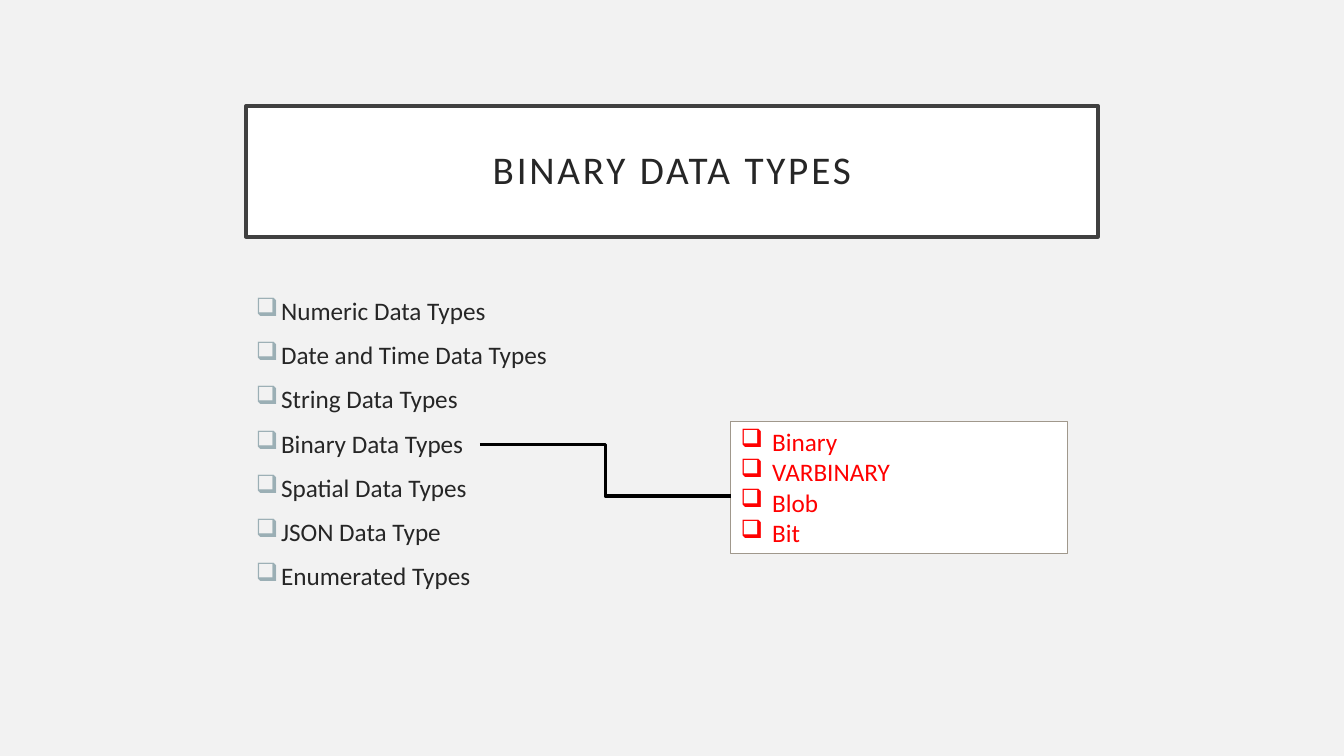
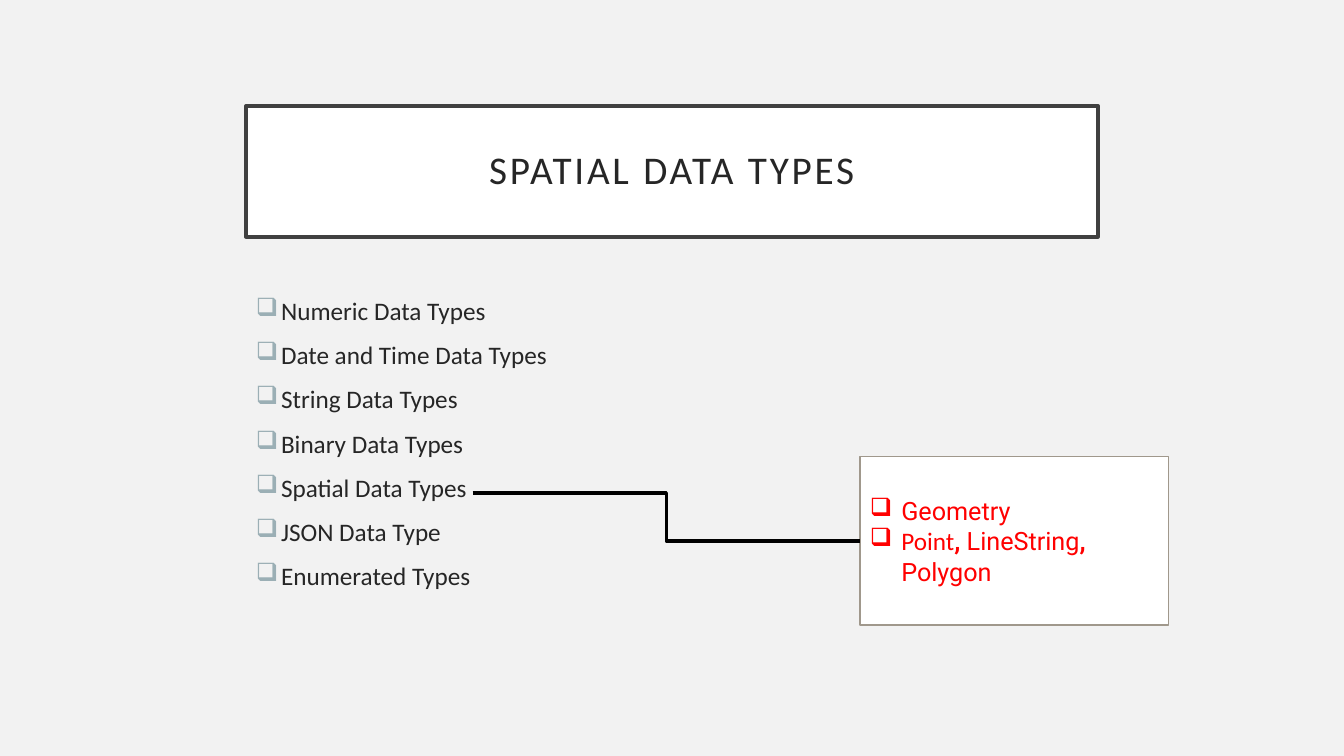
from dataclasses import dataclass

from lxml.etree import SubElement
from pptx import Presentation
from pptx.dml.color import RGBColor
from pptx.enum.shapes import MSO_CONNECTOR, MSO_SHAPE
from pptx.enum.text import MSO_ANCHOR, PP_ALIGN
from pptx.oxml.ns import qn
from pptx.util import Pt


@dataclass(frozen=True)
class Theme:
    background: RGBColor = RGBColor(0xF2, 0xF2, 0xF2)
    panel: RGBColor = RGBColor(0xFF, 0xFF, 0xFF)
    title_border: RGBColor = RGBColor(0x40, 0x40, 0x40)
    callout_border: RGBColor = RGBColor(0xA0, 0x98, 0x8C)
    text: RGBColor = RGBColor(0x26, 0x26, 0x26)
    bullet: RGBColor = RGBColor(0x9B, 0xAF, 0xB5)
    accent: RGBColor = RGBColor(0xFF, 0x00, 0x00)
    connector: RGBColor = RGBColor(0x00, 0x00, 0x00)
    font: str = "Calibri"
    callout_font: str = "Roboto"
    title_size: int = 28
    body_size: int = 18


theme = Theme()

DATA_TYPES = [
    "Numeric Data Types",
    "Date and Time Data Types",
    "String Data Types",
    "Binary Data Types",
    "Spatial Data Types",
    "JSON Data Type",
    "Enumerated Types",
]

SLIDES = [
    {
        "title": "BINARY DATA TYPES",
        "callout": (522, 301, 240.5, 94.3),
        "anchor": MSO_ANCHOR.TOP,
        "items": [
            [(name, theme.font, False)]
            for name in ("Binary", "VARBINARY", "Blob", "Bit")
        ],
        "connector": (342.7, 317.5, 522, 354.2),
        "joined": False,
    },
    {
        "title": "SPATIAL DATA TYPES",
        "callout": (614.2, 326.2, 220.3, 120.2),
        "anchor": MSO_ANCHOR.MIDDLE,
        "items": [
            [("Geometry", theme.callout_font, False)],
            [
                ("Point", theme.font, False),
                (", ", theme.callout_font, True),
                ("LineString", theme.callout_font, False),
                (", ", theme.callout_font, True),
                ("Polygon", theme.callout_font, False),
            ],
        ],
        "connector": (337.7, 352.1, 614.2, 386.3),
        "joined": True,
    },
]


def add_panel(slide, box, border, width):
    shape = slide.shapes.add_shape(MSO_SHAPE.RECTANGLE, *map(Pt, box))
    shape.shadow.inherit = False
    shape.fill.solid()
    shape.fill.fore_color.rgb = theme.panel
    shape.line.color.rgb = border
    shape.line.width = Pt(width)
    shape.text_frame.word_wrap = True
    return shape


def add_bullets(text_frame, items, indent, space_before, bullet_color, text_color):
    for index, runs in enumerate(items):
        paragraph = text_frame.paragraphs[0] if index == 0 else text_frame.add_paragraph()
        paragraph.alignment = PP_ALIGN.LEFT
        paragraph.space_before = Pt(space_before)
        properties = paragraph._p.get_or_add_pPr()
        properties.set("marL", str(Pt(indent)))
        properties.set("indent", str(-Pt(indent)))
        color = SubElement(properties, qn("a:buClr"))
        SubElement(color, qn("a:srgbClr"), val=str(bullet_color))
        SubElement(properties, qn("a:buChar"), char="❑")
        paragraph.font.size = Pt(theme.body_size)
        paragraph.font.color.rgb = text_color
        if len({(font, bold) for _, font, bold in runs}) == 1:
            paragraph.font.name = runs[0][1]
            paragraph.add_run().text = runs[0][0]
            continue
        for text, font, bold in runs:
            run = paragraph.add_run()
            run.text = text
            run.font.name = font
            run.font.bold = bold


presentation = Presentation()
presentation.slide_width = Pt(960)
presentation.slide_height = Pt(540)
background = presentation.slide_master.background.fill
background.solid()
background.fore_color.rgb = theme.background

for content in SLIDES:
    slide = presentation.slides.add_slide(presentation.slide_layouts[6])

    title = add_panel(slide, (175.7, 75.6, 608.6, 93.6), theme.title_border, 2.5)
    title.text_frame.vertical_anchor = MSO_ANCHOR.MIDDLE
    paragraph = title.text_frame.paragraphs[0]
    paragraph.alignment = PP_ALIGN.CENTER
    paragraph.line_spacing = 0.9
    paragraph.font.name = theme.font
    paragraph.font.size = Pt(theme.title_size)
    paragraph.font.color.rgb = theme.text
    run = paragraph.add_run()
    run.text = content["title"]
    run._r.get_or_add_rPr().set("spc", "200")

    body = slide.shapes.add_textbox(Pt(175.7), Pt(207.4), Pt(608.6), Pt(244))
    body.text_frame.word_wrap = True
    body_items = [[(name, theme.font, False)] for name in DATA_TYPES]
    add_bullets(body.text_frame, body_items, 18, 10, theme.bullet, theme.text)

    callout = add_panel(slide, content["callout"], theme.callout_border, 1)
    callout.text_frame.vertical_anchor = content["anchor"]
    add_bullets(callout.text_frame, content["items"], 22.5, 0, theme.accent, theme.accent)

    connector = slide.shapes.add_connector(
        MSO_CONNECTOR.ELBOW, *map(Pt, content["connector"])
    )
    connector.line.color.rgb = theme.connector
    connector.line.width = Pt(2.5)
    SubElement(connector._element.spPr, qn("a:effectLst"))
    if content["joined"]:
        connector.end_connect(callout, 1)

presentation.save("out.pptx")
